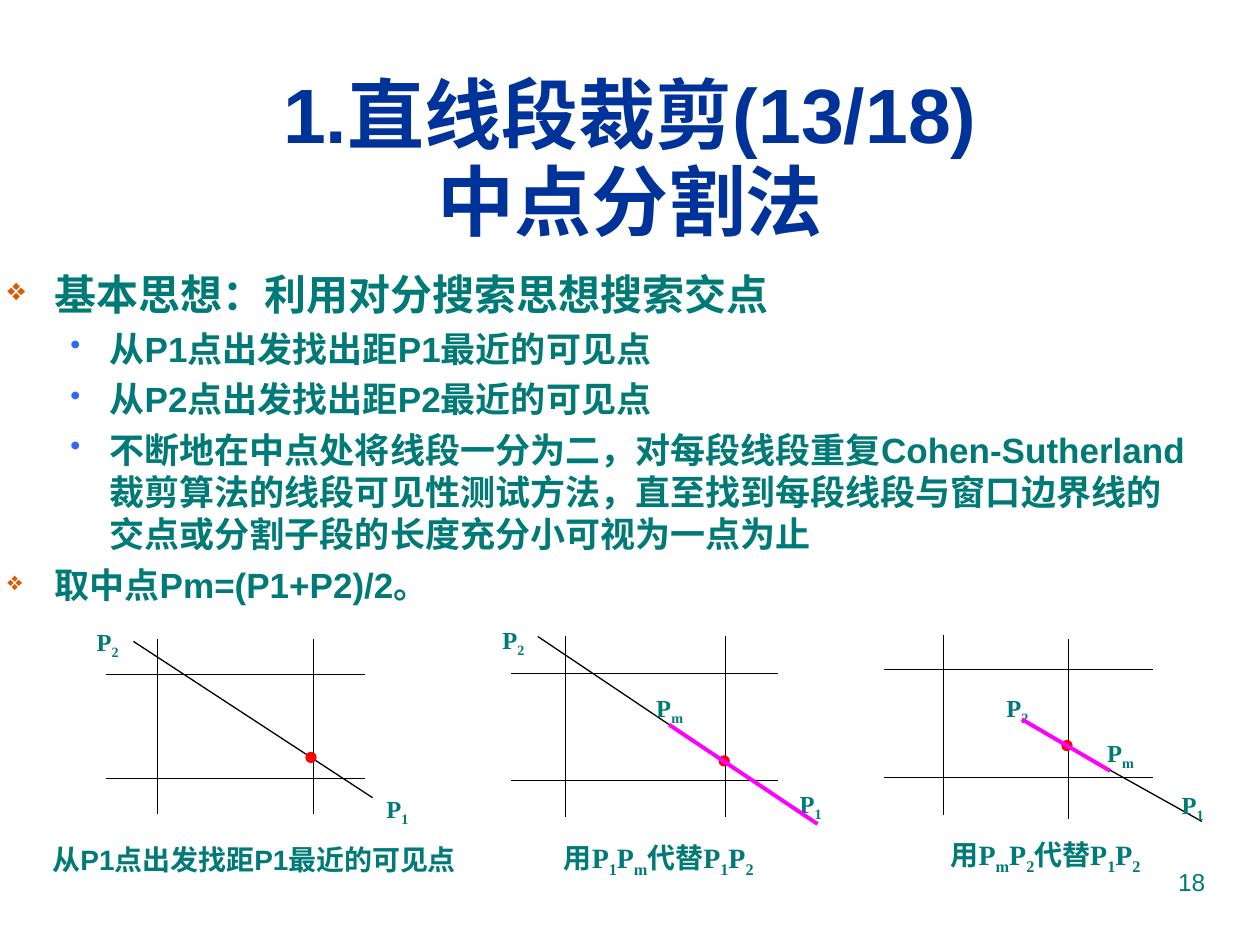
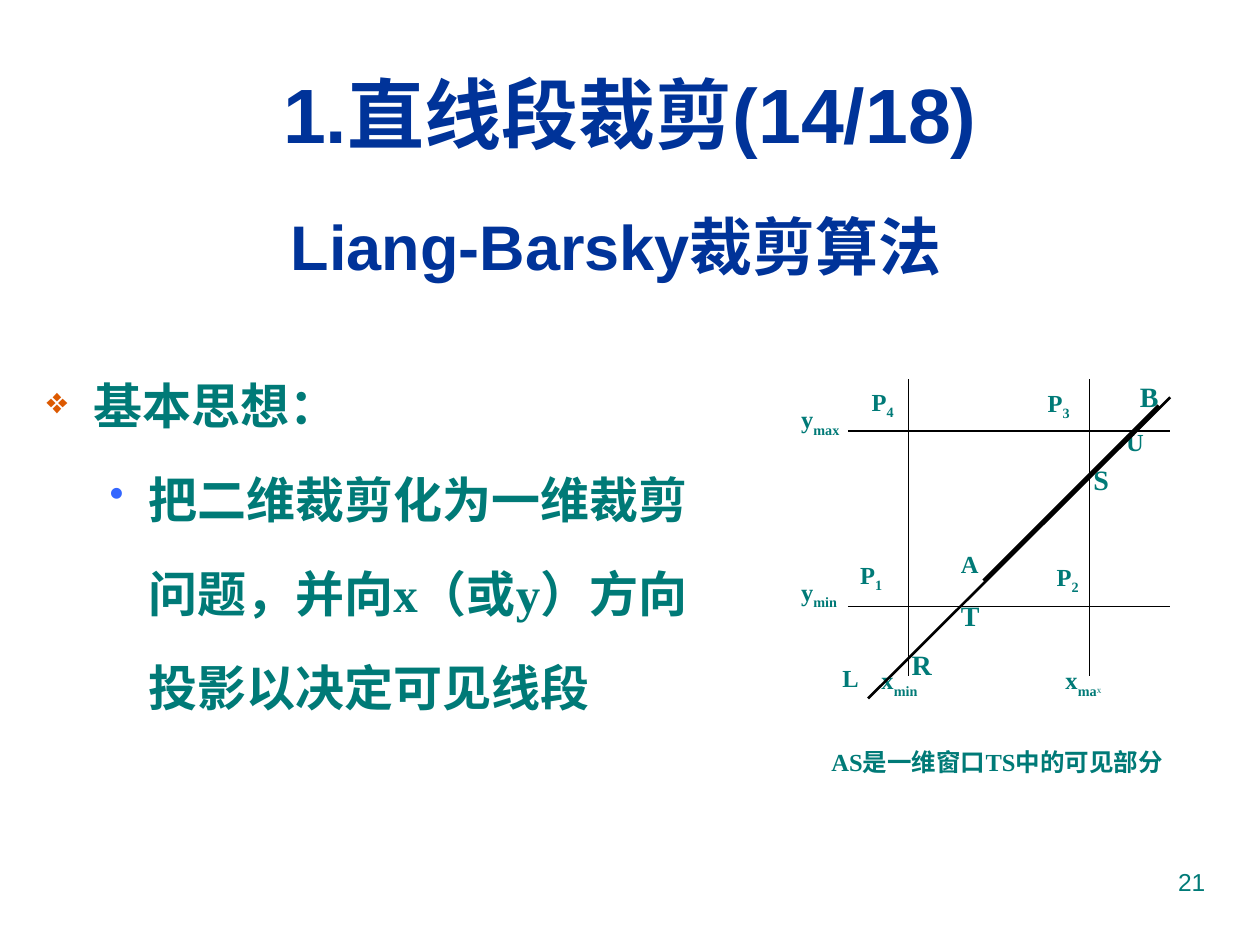
import pptx
import pptx.dml.color
import pptx.enum.shapes
import pptx.enum.text
import pptx.oxml
import pptx.oxml.ns
import pptx.util
from dataclasses import dataclass
from lxml import etree

Cm, Pt = pptx.util.Cm, pptx.util.Pt
RGBColor = pptx.dml.color.RGBColor
ALIGN = pptx.enum.text.PP_ALIGN
ANCHOR = pptx.enum.text.MSO_ANCHOR

NAVY = RGBColor(0x00, 0x33, 0x99)
TEAL = RGBColor(0x00, 0x7A, 0x77)
ORANGE = RGBColor(0xDC, 0x59, 0x00)
BLUE = RGBColor(0x33, 0x66, 0xFF)
BLACK = RGBColor(0x00, 0x00, 0x00)
RED = RGBColor(0xFF, 0x00, 0x00)
MAGENTA = RGBColor(0xFF, 0x00, 0xFF)
SANS, SERIF = "Arial", "Times New Roman"

# Outline levels: mark, mark colour, mark size in %, left margin, hanging indent
LEVELS = (
    ("❖", ORANGE, 75, Cm(0.95), Cm(0.95)),
    ("•", BLUE, 85, Cm(2.06), Cm(0.79)),
)
LABEL_WIDTH, LABEL_HEIGHT = 1.6, 1.05


@dataclass
class Window:
    """Clipping window lines, in cm from the corner of the figure."""
    left: float
    top: float
    width: float
    height: float
    rows: tuple       # y of each horizontal line
    columns: tuple    # (x, y of the upper end) of each vertical line


# Shared text and line helpers
def add_runs(paragraph, text, size=14, font=SERIF, color=TEAL, bold=True):
    """Parts between bars alternate between normal and subscript."""
    for index, part in enumerate(text.split("|")):
        if not part:
            continue
        run = paragraph.add_run()
        run.text = part
        run.font.size = Pt(size)
        run.font.name = font
        run.font.bold = bold
        run.font.color.rgb = color
        if index % 2:
            run.font._element.set("baseline", "-25000")


def add_text(slide, box, text, align=ALIGN.JUSTIFY, anchor=ANCHOR.TOP, **style):
    frame = slide.shapes.add_textbox(*map(Cm, box)).text_frame
    frame.word_wrap = True
    frame.vertical_anchor = anchor
    paragraph = frame.paragraphs[0]
    paragraph.alignment = align
    add_runs(paragraph, text, **style)
    return paragraph


def add_line(slide, origin, start, end, color=BLACK, weight=0.75):
    left, top = origin
    line = slide.shapes.add_connector(
        pptx.enum.shapes.MSO_CONNECTOR.STRAIGHT,
        Cm(left + start[0]), Cm(top + start[1]),
        Cm(left + end[0]), Cm(top + end[1]))
    line.line.color.rgb = color
    line.line.width = Pt(weight)
    etree.SubElement(line._element.spPr, pptx.oxml.ns.qn("a:effectLst"))


def add_bullet(paragraph, level):
    mark, color, percent, margin, hanging = LEVELS[level]
    paragraph.level = level
    properties = paragraph._p.get_or_add_pPr()
    properties.set("marL", str(margin))
    properties.set("indent", str(-hanging))
    namespace = pptx.oxml.ns.nsdecls("a")
    for xml in (
        f'<a:buClr {namespace}><a:srgbClr val="{color}"/></a:buClr>',
        f'<a:buSzPct {namespace} val="{percent * 1000}"/>',
        f'<a:buChar {namespace} char="{mark}"/>',
    ):
        properties.append(pptx.oxml.parse_xml(xml))


# Chapter heading, method title and page number
def add_topic_slide(deck, part, page, method, box, size):
    slide = deck.slides.add_slide(deck.slide_layouts[5])
    title = slide.shapes.title
    title.left, title.top, title.width, title.height = map(Cm, box)
    title.text_frame.auto_size = pptx.enum.text.MSO_AUTO_SIZE.NONE
    title.text_frame.vertical_anchor = ANCHOR.MIDDLE
    heading = title.text_frame.paragraphs[0]
    heading.alignment = ALIGN.CENTER
    add_runs(heading, method, size=size, font=SANS, color=NAVY)
    add_text(slide, (1.9, 1.22, 21.6, 2.1), f"1.直线段裁剪({part}/18)",
             align=ALIGN.CENTER, anchor=ANCHOR.MIDDLE,
             size=44, font=SANS, color=NAVY)
    add_text(slide, (18.2, 17.35, 6.35, 1.32), page, align=ALIGN.RIGHT,
             font=SANS, bold=False)
    return slide


# Bulleted outline
def add_outline(slide, box, items, line_spacing=1.0):
    """Each item: level, size, space before, list of (text, font)."""
    frame = slide.shapes.add_textbox(*map(Cm, box)).text_frame
    frame.word_wrap = True
    for index, (level, size, space, pieces) in enumerate(items):
        paragraph = frame.add_paragraph() if index else frame.paragraphs[0]
        paragraph.line_spacing = line_spacing
        paragraph.space_before = Pt(space)
        add_bullet(paragraph, level)
        for text, font in pieces:
            add_runs(paragraph, text, size=size, font=font)


# Parts of the clipping figures
def add_window(slide, window):
    origin = window.left, window.top
    for y in window.rows:
        add_line(slide, origin, (0, y), (window.width, y))
    for x, y in window.columns:
        add_line(slide, origin, (x, y), (x, y + window.height))


def add_label(slide, window, text, x, y, size=14):
    box = window.left + x, window.top + y, LABEL_WIDTH, LABEL_HEIGHT
    return add_text(slide, box, text, size=size)


def add_crossing(slide, window, x, y):
    dot = slide.shapes.add_shape(
        pptx.enum.shapes.MSO_SHAPE.OVAL,
        Cm(window.left + x), Cm(window.top + y), Cm(0.2), Cm(0.2))
    dot.shadow.inherit = False
    dot.fill.solid()
    dot.fill.fore_color.rgb = RED
    dot.line.color.rgb = RED
    dot.line.width = Pt(0.75)


def add_midpoint_step(slide, window, segment, labels, crossing, kept=None):
    origin = window.left, window.top
    add_window(slide, window)
    add_line(slide, origin, *segment)
    for label in labels:
        add_label(slide, window, *label)
    add_crossing(slide, window, *crossing)
    if kept:
        add_line(slide, origin, *kept, color=MAGENTA, weight=2.25)


def add_caption(slide, window, text, x, y, width, **style):
    add_text(slide, (window.left + x, window.top + y, width, LABEL_HEIGHT),
             text, **style)


def build_midpoint_slide(deck):
    slide = add_topic_slide(deck, 13, "18", "中点分割法",
                            (0.84, 2.9, 23.72, 2.24), 44)
    add_outline(slide, (-0.1, 5.28, 24.4, 7.24), (
        (0, 24, 6, [("基本思想：利用对分搜索思想搜索交点", SANS)]),
        (1, 20, 5, [("从P1点出发找出距P1最近的可见点", SANS)]),
        (1, 20, 5, [("从P2点出发找出距P2最近的可见点", SANS)]),
        (1, 20, 5, [("不断地在中点处将线段一分为二，对每段线段重复"
                     "Cohen-Sutherland裁剪算法的线段可见性测试方法，"
                     "直至找到每段线段与窗口边界线的交点或分割子段的"
                     "长度充分小可视为一点为止", SANS)]),
        (0, 20, 5, [("取中点Pm=(P1+P2)/2。", SANS)]),
    ))

    # Find the visible point nearest to P1
    search = Window(2.13, 12.88, 5.23, 3.53, (0.71, 2.82),
                    ((1.05, 0), (4.19, 0)))
    add_midpoint_step(slide, search, ((0.56, 0.05), (5.38, 3.2)),
                      (("P|2", -0.43, -0.36), ("P|1", 5.41, 3.0)),
                      (4.04, 2.29))
    add_caption(slide, search, "从P1点出发找距P1最近的可见点",
                -1.32, 3.99, 8.89, size=16, font=SANS)

    # Keep the half next to P1
    near_half = Window(10.31, 12.83, 5.38, 3.63, (0.74, 2.9),
                       ((1.09, 0), (4.32, 0)))
    add_midpoint_step(slide, near_half, ((0.53, 0), (5.94, 3.63)),
                      (("P|m", 2.67, 1.02), ("P|1", 5.56, 2.95),
                       ("P|2", -0.43, -0.36)),
                      (4.19, 2.41), ((3.18, 1.78), (6.17, 3.78)))
    add_caption(slide, near_half, "用P|1|P|m|代替P|1|P|2",
                -1.07, 3.99, 8.08, size=16, align=ALIGN.CENTER)

    # Keep the half next to P2
    far_half = Window(17.83, 12.8, 5.41, 3.63, (0.69, 2.87),
                      ((1.19, 0), (3.71, 0.08)))
    add_midpoint_step(slide, far_half, ((3.18, 1.96), (6.4, 3.76)),
                      (("P|2", 2.21, 1.04), ("P|m", 4.24, 1.96),
                       ("P|1", 5.74, 3.0)),
                      (3.58, 2.13), ((2.77, 1.7), (4.55, 2.74)))
    add_caption(slide, far_half, "用P|m|P|2|代替P|1|P|2",
                -1.07, 3.96, 8.64, size=16, align=ALIGN.CENTER)


def build_liang_barsky_slide(deck):
    slide = add_topic_slide(deck, 14, "21", "Liang-Barsky裁剪算法",
                            (4.7, 3.53, 15.8, 2.59), 36)
    # The wide closing space sets the height of the title line
    add_runs(slide.shapes.title.text_frame.paragraphs[0], " ",
             size=44, font=SANS, color=NAVY, bold=False)
    add_outline(slide, (0.69, 6.73, 13.61, 9.6), (
        (0, 28, 0, [("基本思想：", SANS)]),
        (1, 28, 0, [("把二维裁剪化为一维裁剪问题，并向", SANS),
                    ("x（或y）", SERIF),
                    ("方向投影以决定可见线段", SANS)]),
    ), line_spacing=1.6)

    # Window, its corners and bounds, and the points on the line
    window = Window(17.09, 7.65, 6.5, 5.97, (1.04, 4.57),
                    ((1.22, 0), (4.88, 0)))
    add_window(slide, window)
    for label in (
        ("P|4", 0.23, 0.03), ("P|1", 0, 3.51),
        ("P|3", 3.78, 0.05), ("P|2", 3.96, 3.56),
        ("y|max", -1.19, 0.38), ("y|min", -1.19, 3.86),
        ("x|min", 0.43, 5.64),
        ("R", 1.04, 5.28, 16), ("T", 2.03, 4.29, 16), ("S", 4.7, 1.55, 16),
        ("U", 5.36, 0.84), ("L", -0.36, 5.59), ("A", 2.03, 3.3),
        ("B", 5.64, -0.13, 16),
    ):
        add_label(slide, window, *label)
    x_max = add_label(slide, window, "x|ma", 4.14, 5.64)
    add_runs(x_max, "|x", size=9, bold=False)

    # Line L and segment AB
    origin = window.left, window.top
    add_line(slide, origin, (6.5, 0.36), (0.41, 6.43), weight=1.5)
    add_line(slide, origin, (6.27, 0.53), (2.74, 4.06), weight=2.25)
    add_caption(slide, window, "AS是一维窗口TS中的可见部分", -0.58, 7.29, 7.32)


def main():
    deck = pptx.Presentation()
    deck.slide_width, deck.slide_height = Cm(25.4), Cm(19.05)
    build_midpoint_slide(deck)
    build_liang_barsky_slide(deck)
    deck.save("out.pptx")


if __name__ == "__main__":
    main()
